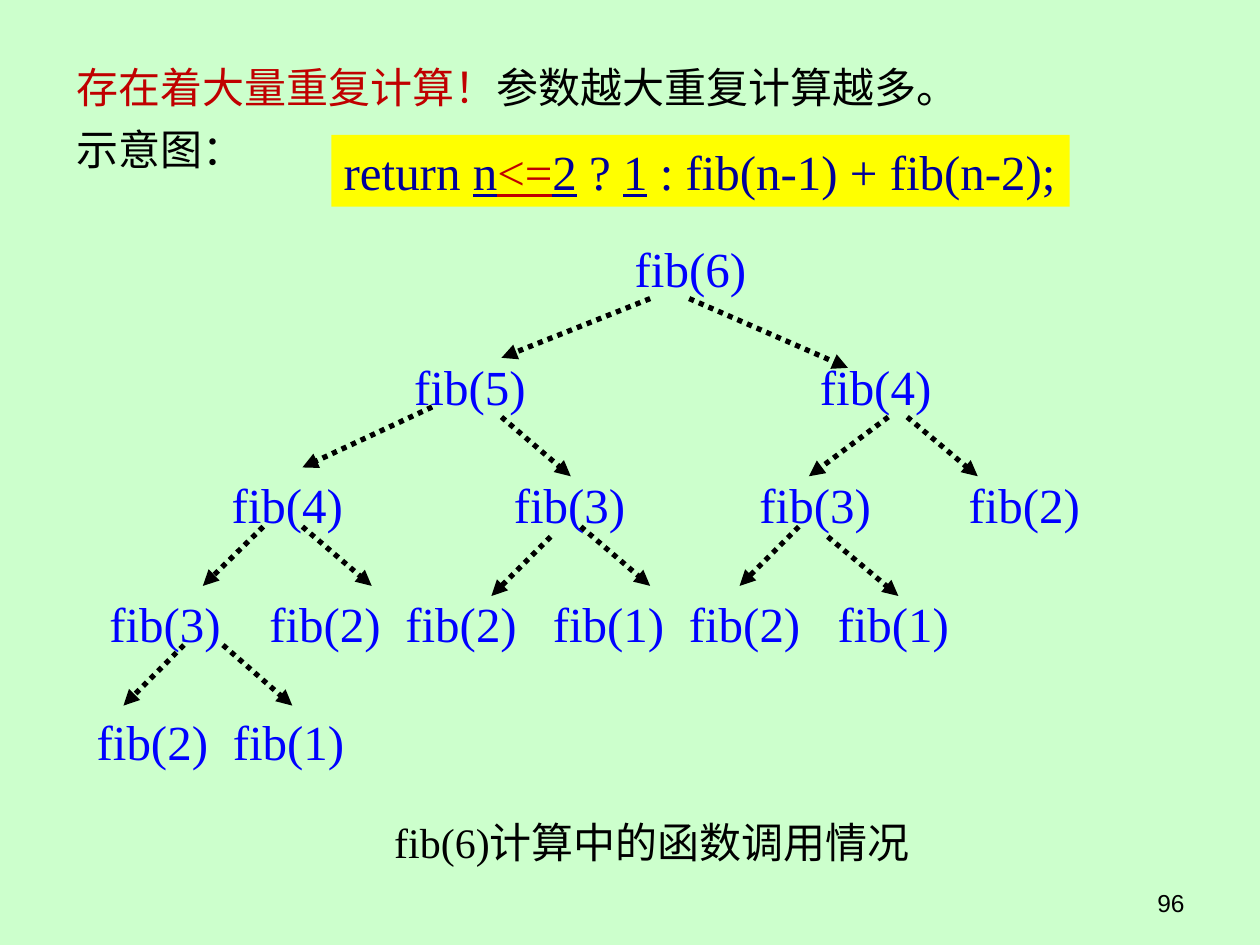
import pptx
import pptx.util
import pptx.dml.color
import pptx.enum.dml
import pptx.enum.shapes
import pptx.enum.text
import pptx.oxml.xmlchemy

Inches = pptx.util.Inches
Pt = pptx.util.Pt
RGBColor = pptx.dml.color.RGBColor
Align = pptx.enum.text.PP_ALIGN
Anchor = pptx.enum.text.MSO_ANCHOR
OxmlElement = pptx.oxml.xmlchemy.OxmlElement

MINT = RGBColor(0xCC, 0xFF, 0xCC)
YELLOW = RGBColor(0xFF, 0xFF, 0x00)
BLACK = RGBColor(0x00, 0x00, 0x00)
RED = RGBColor(0xC0, 0x00, 0x00)
BLUE = RGBColor(0x00, 0x00, 0xFF)
NAVY = RGBColor(0x00, 0x00, 0x99)
SERIF = "Times New Roman"

# Each run: text, colour, underlined
INTRO = [
    [("存在着大量重复计算！", RED, False), ("参数越大重复计算越多。", BLACK, False)],
    [("示意图：", BLACK, False)],
]
CODE = [[
    ("return ", NAVY, False), ("n", NAVY, True), ("<=", RED, True),
    ("2", NAVY, True), (" ? ", NAVY, False), ("1", NAVY, True),
    (" : fib(n-1) + fib(n-2);", NAVY, False),
]]
CAPTION = [[("fib(6)计算中的函数调用情况", BLACK, False)]]
PAGE_NUMBER = [[("96", BLACK, False)]]

# Each level of the call tree: (argument, horizontal centre)
TREE_LEVELS = [
    [(6, 5.48)],
    [(5, 3.73), (4, 6.95)],
    [(4, 2.28), (3, 4.52), (3, 6.47), (2, 8.13)],
    [(3, 1.31), (2, 2.58), (2, 3.66), (1, 4.83), (2, 5.91), (1, 7.09)],
    [(2, 1.21), (1, 2.29)],
]
TREE_TOP, LEVEL_STEP = 1.84, 0.94
NODE_WIDTH, NODE_HEIGHT = 1.1, 0.57

CALL_ARROWS = [
    (5.16, 2.37, 3.98, 2.84), (5.47, 2.37, 6.73, 2.92),
    (3.43, 3.23, 2.4, 3.71), (3.98, 3.31, 4.53, 3.78),
    (7.05, 3.31, 6.42, 3.78), (7.2, 3.31, 7.76, 3.78),
    (2.09, 4.18, 1.61, 4.65), (2.4, 4.18, 2.95, 4.65),
    (4.37, 4.26, 3.9, 4.73), (4.61, 4.18, 5.16, 4.65),
    (6.34, 4.18, 5.87, 4.65), (6.57, 4.26, 7.13, 4.73),
    (1.46, 5.12, 0.98, 5.6), (1.77, 5.12, 2.32, 5.6),
]


def write_text(shape, paragraphs, font, size, align=Align.LEFT,
               anchor=Anchor.TOP, wrap=True):
    frame = shape.text_frame
    frame.word_wrap = wrap
    frame.vertical_anchor = anchor
    for index, runs in enumerate(paragraphs):
        paragraph = frame.add_paragraph() if index else frame.paragraphs[0]
        paragraph.alignment = align
        for text, color, underlined in runs:
            run = paragraph.add_run()
            run.text = text
            run.font.name = font
            run.font.size = Pt(size)
            run.font.color.rgb = color
            run.font.underline = underlined
    return frame


def add_text(slide, box, paragraphs, font, size, **layout):
    shape = slide.shapes.add_textbox(*map(Inches, box))
    return write_text(shape, paragraphs, font, size, **layout)


def add_call_arrow(slide, ends):
    arrow = slide.shapes.add_connector(
        pptx.enum.shapes.MSO_CONNECTOR.STRAIGHT, *map(Inches, ends))
    arrow.line.color.rgb = BLACK
    arrow.line.width = Pt(3)
    arrow.line.dash_style = pptx.enum.dml.MSO_LINE.ROUND_DOT
    head = OxmlElement("a:tailEnd")
    head.set("type", "triangle")
    arrow.line._get_or_add_ln().append(head)
    arrow._element.spPr.append(OxmlElement("a:effectLst"))


def main():
    presentation = pptx.Presentation()
    presentation.slide_width = Inches(10)
    presentation.slide_height = Inches(7.5)
    slide = presentation.slides.add_slide(presentation.slide_layouts[6])
    slide.background.fill.solid()
    slide.background.fill.fore_color.rgb = MINT

    add_text(slide, (7.17, 6.98, 2.33, 0.37), PAGE_NUMBER, "Arial", 14,
             align=Align.RIGHT, anchor=Anchor.MIDDLE)

    for level, nodes in enumerate(TREE_LEVELS):
        for argument, center in nodes:
            box = (center - NODE_WIDTH / 2, TREE_TOP + level * LEVEL_STEP,
                   NODE_WIDTH, NODE_HEIGHT)
            label = [[(f"fib({argument})", BLUE, False)]]
            add_text(slide, box, label, SERIF, 28, align=Align.CENTER,
                     wrap=False)
    for ends in CALL_ARROWS:
        add_call_arrow(slide, ends)

    intro = add_text(slide, (0.51, 0.52, 8.66, 1.18), INTRO, "Cambria", 24)
    for paragraph in intro.paragraphs:
        paragraph.line_spacing = 0.8
    intro.paragraphs[1].space_before = Pt(12)

    add_text(slide, (3.03, 6.43, 4.38, 0.5), CAPTION, SERIF, 24,
             anchor=Anchor.MIDDLE, wrap=False)

    code_box = slide.shapes.add_shape(
        pptx.enum.shapes.MSO_SHAPE.RECTANGLE,
        *map(Inches, (2.63, 1.07, 5.86, 0.57)))
    code_box.shadow.inherit = False
    code_box.fill.solid()
    code_box.fill.fore_color.rgb = YELLOW
    code_box.line.fill.background()
    write_text(code_box, CODE, SERIF, 28, align=Align.JUSTIFY,
               anchor=Anchor.MIDDLE, wrap=False)

    presentation.save("out.pptx")


if __name__ == "__main__":
    main()
